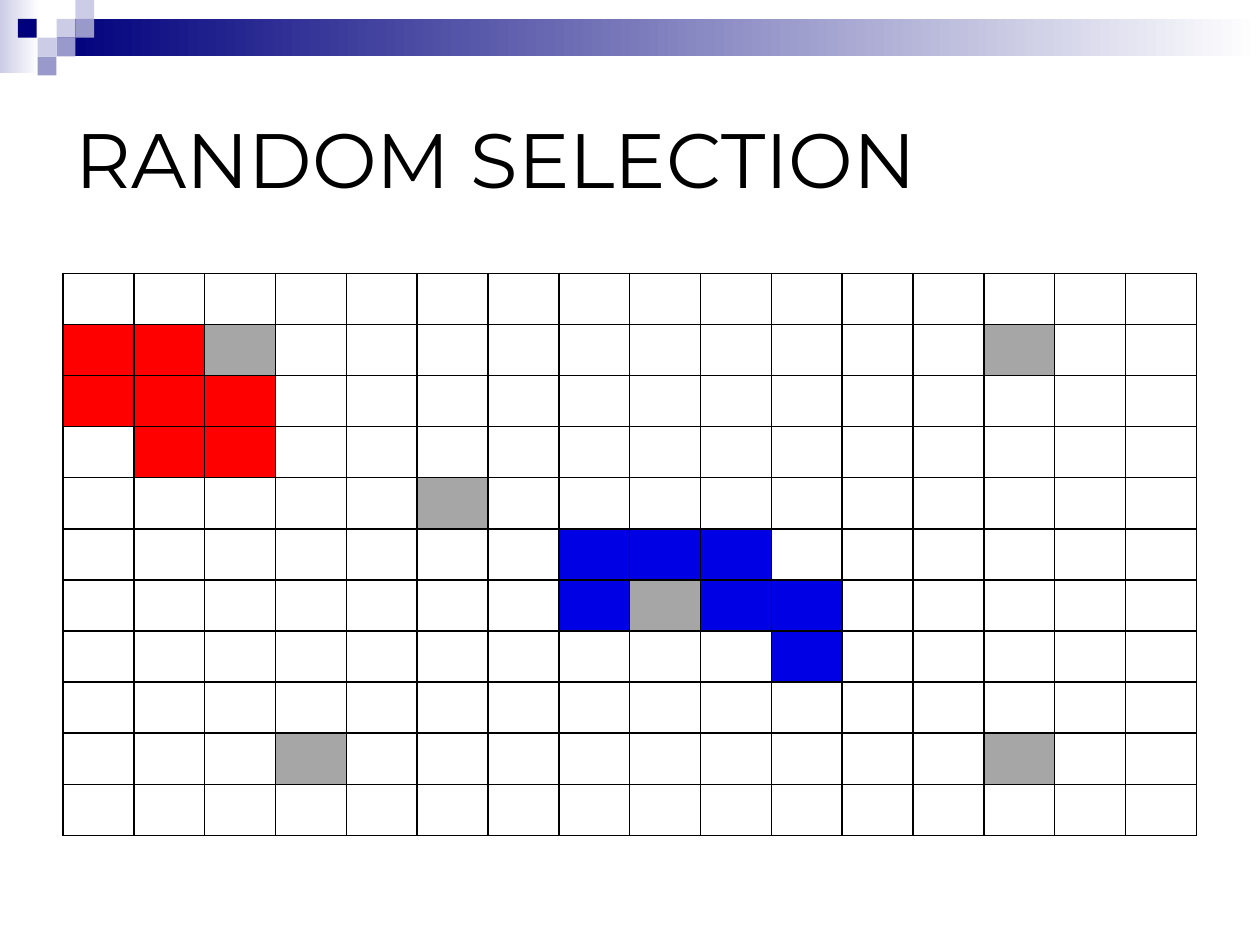
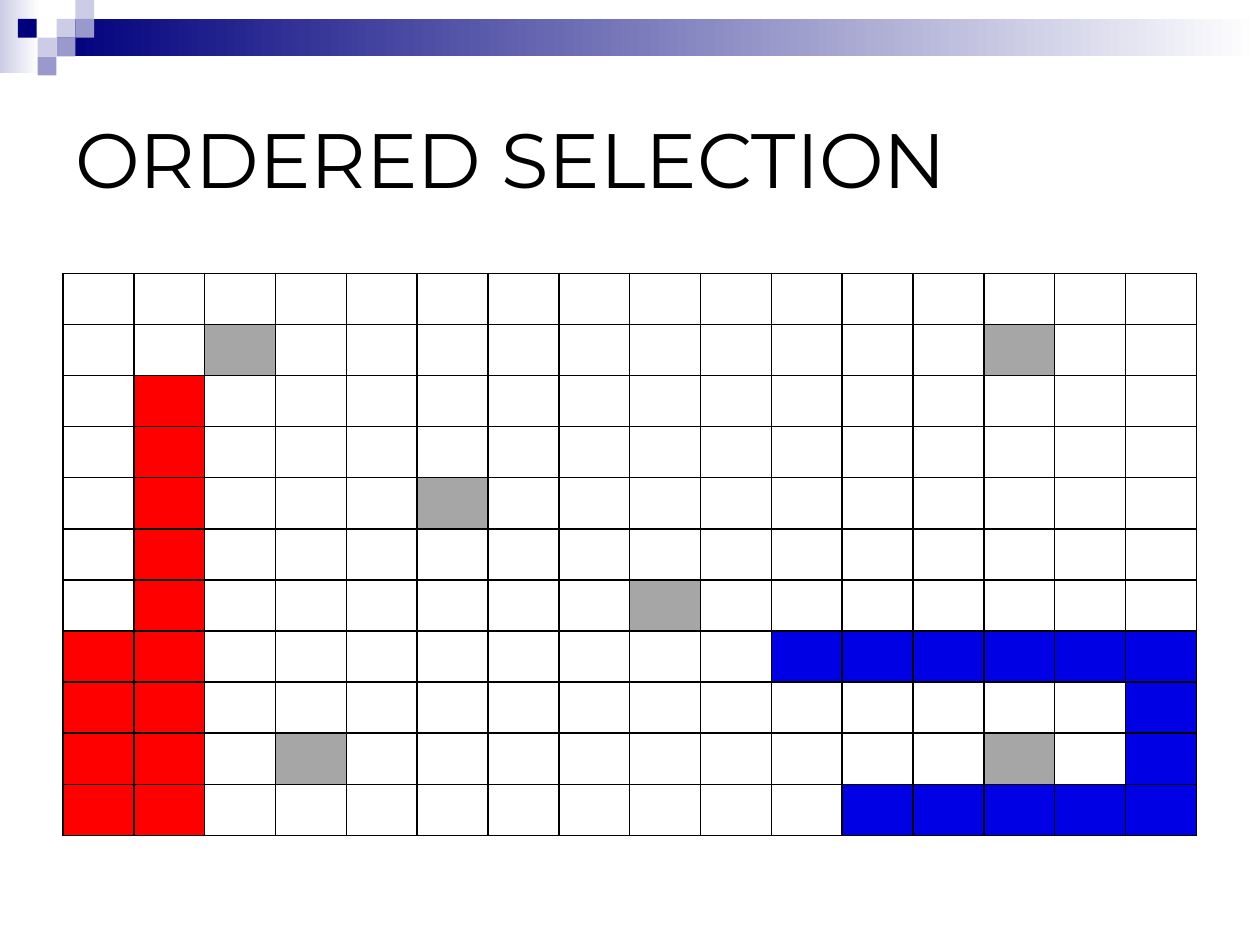
from dataclasses import dataclass

from lxml.etree import SubElement
from pptx import Presentation
from pptx.dml.color import RGBColor as Rgb
from pptx.enum.shapes import MSO_SHAPE as Shape
from pptx.enum.text import MSO_ANCHOR as Anchor
from pptx.oxml.ns import qn
from pptx.util import Cm, Pt


@dataclass(frozen=True)
class Theme:
    navy: str = "00007D"
    lavender: str = "9999CC"
    pale: str = "CCCCE6"
    white: str = "FFFFFF"
    black: str = "000000"
    red: str = "FF0000"
    blue: str = "0000E4"
    gray: str = "A6A6A6"
    font: str = "Montserrat"
    title_size: int = 44
    border_width: int = 1


theme = Theme()


def add_block(page, left, top, width, height, start, end=None):
    box = page.shapes.add_shape(Shape.RECTANGLE, Cm(left), Cm(top), Cm(width), Cm(height))
    box.shadow.inherit = False
    box.line.fill.background()
    if end is None:
        box.fill.solid()
        box.fill.fore_color.rgb = Rgb.from_string(start)
        return
    box.fill.gradient()
    box.fill.gradient_angle = 0
    for stop, color in zip(box.fill.gradient_stops, (start, end)):
        stop.color.rgb = Rgb.from_string(color)


def style_cell(cell, color):
    properties = cell._tc.get_or_add_tcPr()
    for side in ("a:lnL", "a:lnR", "a:lnT", "a:lnB"):
        border = SubElement(properties, qn(side), w=str(Pt(theme.border_width)))
        fill = SubElement(border, qn("a:solidFill"))
        SubElement(fill, qn("a:srgbClr"), val=theme.black)
    cell.fill.solid()
    cell.fill.fore_color.rgb = Rgb.from_string(color)
    cell.margin_top = cell.margin_bottom = 0


unit = 0.38
squares = [
    (3, 1, theme.pale),
    (4, 0, theme.pale),
    (4, 1, theme.lavender),
    (2, 2, theme.pale),
    (0.95, 1, theme.navy),
    (3, 2, theme.lavender),
    (2, 3, theme.lavender),
]

cell_colors = {".": theme.white, "R": theme.red, "B": theme.blue, "G": theme.gray}
selections = {
    "RANDOM SELECTION": [
        "................",
        "RRG..........G..",
        "RRR.............",
        ".RR.............",
        ".....G..........",
        ".......BBB......",
        ".......BGBB.....",
        "..........B.....",
        "................",
        "...G.........G..",
        "................",
    ],
    "ORDERED SELECTION": [
        "................",
        "..G..........G..",
        ".R..............",
        ".R..............",
        ".R...G..........",
        ".R..............",
        ".R......G.......",
        "RR........BBBBBB",
        "RR.............B",
        "RR.G.........G.B",
        "RR.........BBBBB",
    ],
}

deck = Presentation()
deck.slide_width = Cm(25.4)
deck.slide_height = Cm(19.05)
margin = 1.27
content_width = 22.86
grid_top = 5.51
grid_height = 11.33

for title, pattern in selections.items():
    page = deck.slides.add_slide(deck.slide_layouts[6])

    add_block(page, 0, 0, 0.79, 1.47, theme.pale, theme.white)
    add_block(page, 3 * unit, unit, 25.4 - 3 * unit, 2 * unit, theme.navy, theme.white)
    for column, row, color in squares:
        add_block(page, column * unit, row * unit, unit, unit, color)

    box = page.shapes.add_textbox(Cm(margin), Cm(1.27), Cm(content_width), Cm(3.81))
    box.text_frame.word_wrap = True
    box.text_frame.vertical_anchor = Anchor.MIDDLE
    box.text_frame.text = title
    span = box.text_frame.paragraphs[0].runs[0]
    span.font.name = theme.font
    span.font.size = Pt(theme.title_size)
    span.font.color.rgb = Rgb.from_string(theme.black)

    grid = page.shapes.add_table(
        len(pattern), len(pattern[0]),
        Cm(margin), Cm(grid_top), Cm(content_width), Cm(grid_height),
    ).table
    grid.first_row = False
    grid.horz_banding = False
    for row, marks in enumerate(pattern):
        for column, mark in enumerate(marks):
            style_cell(grid.cell(row, column), cell_colors[mark])

deck.save("out.pptx")
